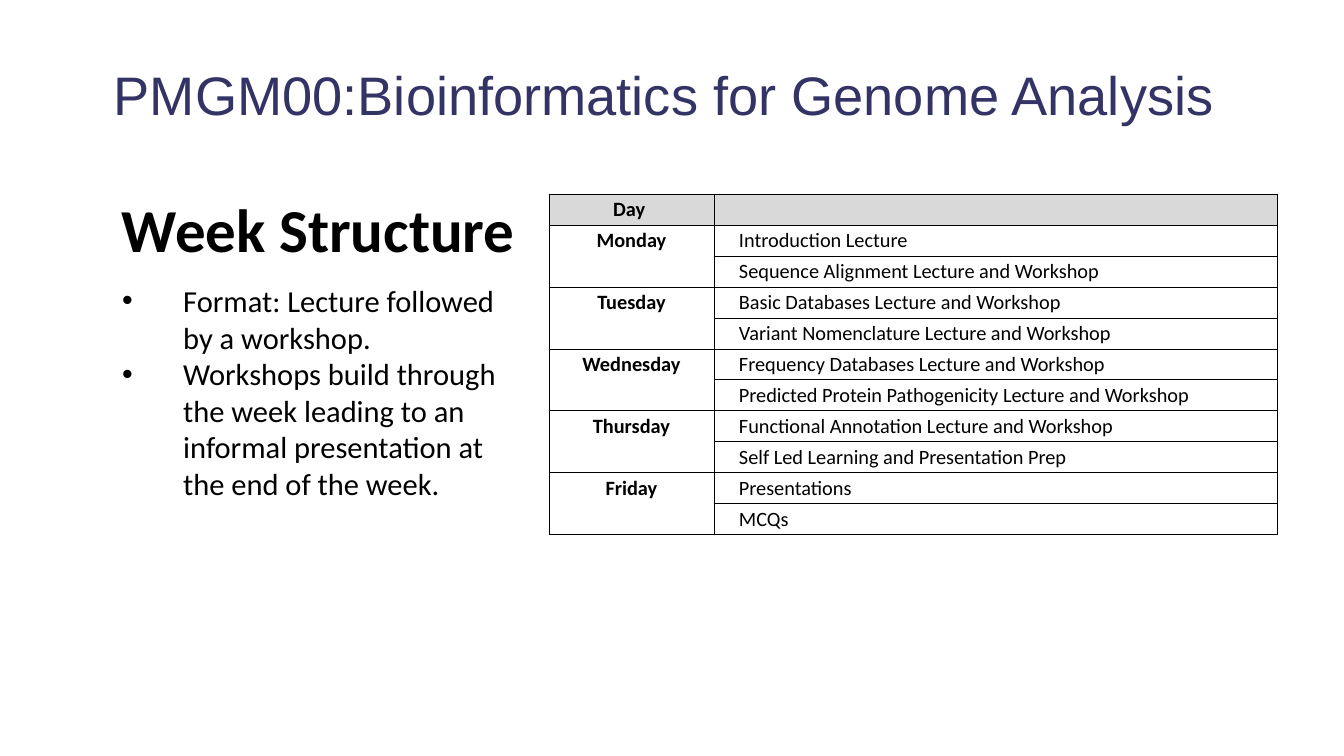
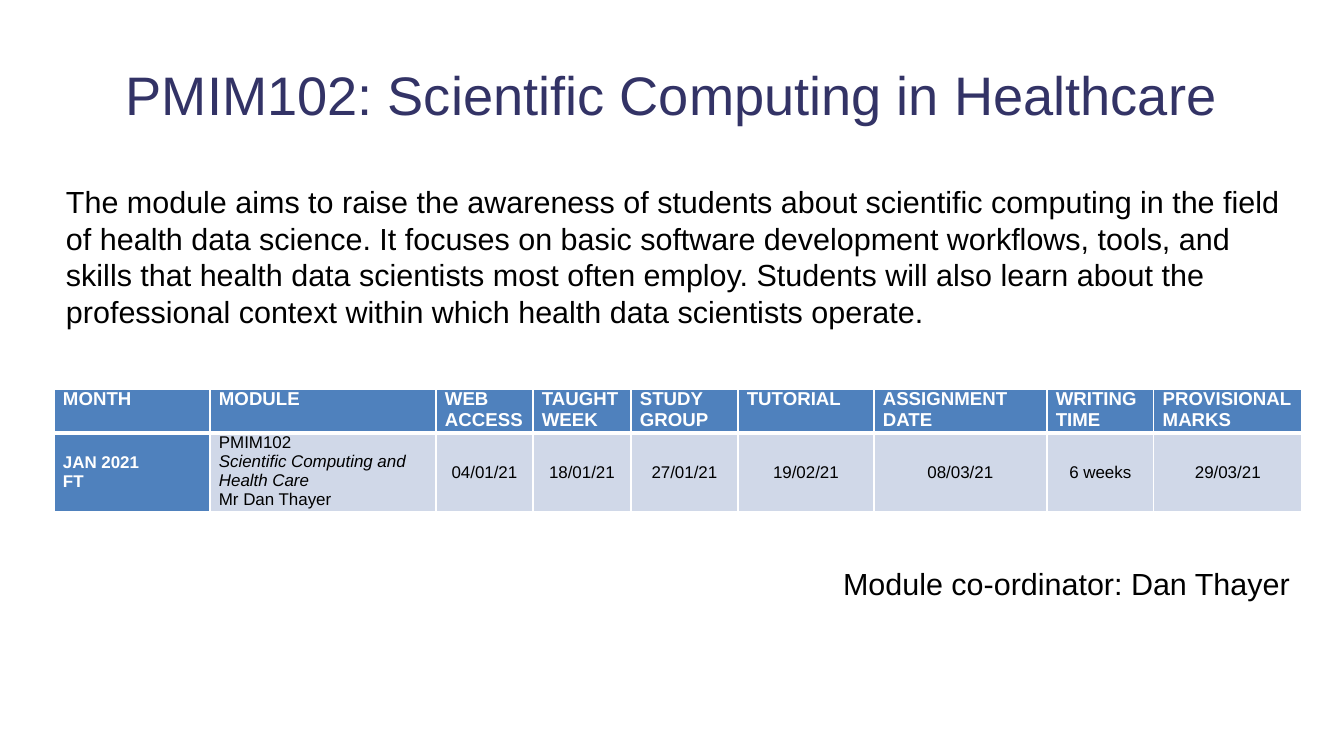
import pptx
import pptx.util
import pptx.dml.color
import pptx.enum.text
import pptx.oxml.ns
import lxml.etree

PX = 914400 / 122  # EMU per pixel
C = {"title": "333366", "black": "000000", "white": "FFFFFF",
     "grey": "D9D9D9", "blue": "4F81BD", "pale": "D0D8E8"}
ALIGN = pptx.enum.text.PP_ALIGN
ANCHOR = pptx.enum.text.MSO_ANCHOR
Pt = pptx.util.Pt
qn = pptx.oxml.ns.qn


def set_text(tf, text, size, font="Arial", color="black", bold=False, align=ALIGN.LEFT):
    """Fill a text frame and format each of its paragraphs."""
    tf.text = text
    tf.word_wrap = True
    for p in tf.paragraphs:
        p.alignment = align
        p.space_before = Pt(0)
        p.font.size = Pt(size)
        p.font.name = font
        p.font.bold = bold
        p.font.color.rgb = pptx.dml.color.RGBColor.from_string(C[color])


def set_cell(cell, fill, line, widths, margins):
    """Set margins, borders (left, right, top, bottom) and fill of a table cell."""
    cell.margin_left = cell.margin_right = round(margins[0] * PX)
    cell.margin_top = cell.margin_bottom = round(margins[1] * PX)
    tcPr = cell._tc.get_or_add_tcPr()
    for side, width in zip("LRTB", widths):
        ln = lxml.etree.SubElement(tcPr, qn("a:ln" + side), w=str(Pt(width)))
        solid = lxml.etree.SubElement(ln, qn("a:solidFill"))
        lxml.etree.SubElement(solid, qn("a:srgbClr"), val=C[line])
    if fill:
        cell.fill.solid()
        cell.fill.fore_color.rgb = pptx.dml.color.RGBColor.from_string(C[fill])
    else:
        cell.fill.background()


prs = pptx.Presentation()
prs.slide_width, prs.slide_height = round(1344 * PX), round(756 * PX)

# Slides and titles: layout 1 has a body for the list, layout 5 a title only
slides = []
for layout, title in [(1, "PMGM00:Bioinformatics for Genome Analysis "),
                      (5, "PMIM102: Scientific Computing in Healthcare")]:
    s = prs.slides.add_slide(prs.slide_layouts[layout])
    sp = s.shapes.title
    sp.left, sp.top, sp.width, sp.height = [round(v * PX) for v in (67, 30, 1210, 127)]
    tf = sp.text_frame
    set_text(tf, title, 32, color="title", align=ALIGN.CENTER)
    tf.auto_size = pptx.enum.text.MSO_AUTO_SIZE.NONE
    tf.vertical_anchor = ANCHOR.MIDDLE
    tf.margin_left = tf.margin_right = tf.margin_top = tf.margin_bottom = 0
    slides.append(s)
week, module = slides

# Week structure: heading
sp = week.shapes.add_textbox(*[round(v * PX) for v in (110, 194, 750, 78)])
tf = sp.text_frame
set_text(tf, "Week Structure", 36, "Calibri", bold=True)
tf.vertical_anchor = ANCHOR.MIDDLE
tf.paragraphs[0].line_spacing = 0.9

# Week structure: timetable, two sessions a day
days = [
    ("Monday", "Introduction Lecture", "Sequence Alignment Lecture and Workshop"),
    ("Tuesday", "Basic Databases Lecture and Workshop",
     "Variant Nomenclature Lecture and Workshop"),
    ("Wednesday", "Frequency Databases Lecture and Workshop",
     "Predicted Protein Pathogenicity Lecture and Workshop"),
    ("Thursday", "Functional Annotation Lecture and Workshop",
     "Self Led Learning and Presentation Prep"),
    ("Friday", "Presentations", "MCQs"),
]
rows = [("Day ", "")]
for day, first, second in days:
    rows += [(day, first), ("", second)]
box = [round(v * PX) for v in (549, 194, 728, 31 * len(rows))]
tbl = week.shapes.add_table(len(rows), 2, *box).table
tbl.first_row = tbl.horz_banding = False
tbl.columns[0].width, tbl.columns[1].width = round(165 * PX), round(563 * PX)
for i, (day, session) in enumerate(rows):
    fill = None if i else "grey"
    set_text(tbl.cell(i, 0).text_frame, day, 12, "Calibri", bold=True, align=ALIGN.CENTER)
    set_text(tbl.cell(i, 1).text_frame, session, 12, "Calibri")
    pPr = tbl.cell(i, 1).text_frame.paragraphs[0]._p.get_or_add_pPr()
    pPr.set("marL", str(round(24 * PX)))
    for j in range(2):
        set_cell(tbl.cell(i, j), fill, "black", [0.5] * 4, (1, 3))
for i in range(1, len(rows), 2):
    tbl.cell(i, 0).merge(tbl.cell(i + 1, 0))

# Week structure: bullet list
sp = week.placeholders[1]
sp.left, sp.top, sp.width, sp.height = [round(v * PX) for v in (110, 276, 400, 348)]
tf = sp.text_frame
set_text(tf, "Format: Lecture followed by a workshop.\n"
         "Workshops build through the week leading to an informal presentation "
         "at the end of the week.", 18, "Calibri")
tf.auto_size = pptx.enum.text.MSO_AUTO_SIZE.NONE
for p in tf.paragraphs:
    pPr = p._p.get_or_add_pPr()
    pPr.set("marL", str(round(61 * PX)))
    pPr.set("indent", str(round(-61 * PX)))

# Module: schedule table
columns = [
    (156, "MONTH", "JAN 2021\nFT"),
    (226, "MODULE", "PMIM102\nScientific Computing and Health Care\nMr Dan Thayer"),
    (97, "WEB ACCESS", "04/01/21"),
    (98, "TAUGHT WEEK", "18/01/21"),
    (107, "STUDY\nGROUP", "27/01/21"),
    (136, "TUTORIAL", "19/02/21"),
    (173, "ASSIGNMENT\nDATE", "08/03/21"),
    (107, "WRITING TIME", "6 weeks"),
    (148, "PROVISIONAL MARKS", "29/03/21"),
]
box = [round(v * PX) for v in (54, 389, 1248, 123)]
tbl = module.shapes.add_table(2, len(columns), *box).table
tbl.first_row = tbl.horz_banding = False
tbl.rows[0].height, tbl.rows[1].height = round(44 * PX), round(79 * PX)
for j, (width, head, value) in enumerate(columns):
    tbl.columns[j].width = round(width * PX)
    top, cell = tbl.cell(0, j), tbl.cell(1, j)
    set_text(top.text_frame, head, 11, color="white", bold=True)
    set_cell(top, "blue", "white", (1, 1, 1, 3), (9, 0))
    set_text(cell.text_frame, value, 10, color="black" if j else "white", bold=j == 0,
             align=ALIGN.CENTER if j > 1 else ALIGN.LEFT)
    set_cell(cell, "pale" if j else "blue", "white", (1, 1, 3, 1), (9, 0))
    cell.vertical_anchor = ANCHOR.TOP if j == 1 else ANCHOR.MIDDLE
tbl.cell(1, 1).text_frame.paragraphs[1].font.italic = True

# Module: aims and co-ordinator
aims = ("The module aims to raise the awareness of students about scientific computing "
        "in the field of health data science. It focuses on basic software development "
        "workflows, tools, and skills that health data scientists most often employ. "
        "Students will also learn about the professional context within which health "
        "data scientists operate.")
for top, height, text, align in [
        (177, 160, aims, ALIGN.LEFT),
        (559, 49, "Module co-ordinator: Dan Thayer", ALIGN.RIGHT)]:
    sp = module.shapes.add_textbox(*[round(v * PX) for v in (54, top, 1248, height)])
    set_text(sp.text_frame, text, 18, align=align)

prs.save("out.pptx")
